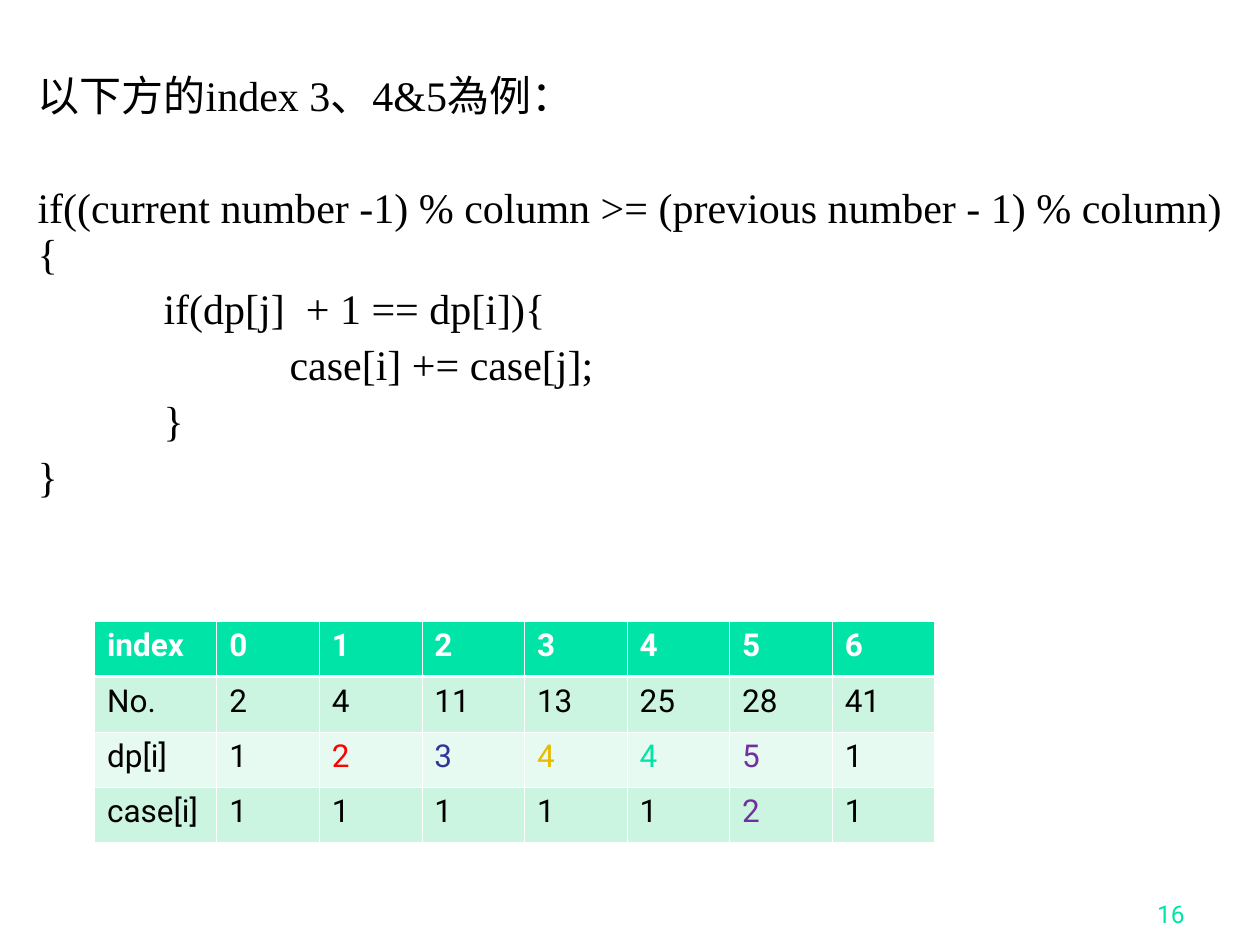
from dataclasses import dataclass

import lxml.etree
import pptx
import pptx.dml.color
import pptx.enum.text
import pptx.oxml.ns
import pptx.util

RGBColor = pptx.dml.color.RGBColor
BLACK = RGBColor(0x00, 0x00, 0x00)
WHITE = RGBColor(0xFF, 0xFF, 0xFF)
GREEN = RGBColor(0x00, 0xE4, 0xA8)
MINT = RGBColor(0xCB, 0xF5, 0xE1)
PALE_MINT = RGBColor(0xE7, 0xFA, 0xF1)
RED = RGBColor(0xFF, 0x00, 0x00)
BLUE = RGBColor(0x33, 0x33, 0x99)
GOLD = RGBColor(0xE7, 0xBB, 0x01)
PURPLE = RGBColor(0x70, 0x30, 0xA0)

CELL = pptx.util.Inches(0.1)  # the slide is a grid of 100 columns by 75 rows
COLUMNS, ROWS = 100, 75
THIN, THICK = 0.45, 1.47  # table rule widths in points

INTRO = "以下方的index 3、4&5為例："
CODE = (
    "if((current number -1) % column >= (previous number - 1) % column){",
    "\tif(dp[j]  + 1 == dp[i]){",
    "\t\tcase[i] += case[j];",
    "\t}",
    "}",
)


@dataclass(frozen=True)
class Box:
    col: float
    row: float
    cols: float
    rows: float

    def emu(self) -> tuple[int, ...]:
        return tuple(grid(n) for n in (self.col, self.row, self.cols, self.rows))


@dataclass(frozen=True)
class TableRow:
    label: str
    values: tuple[int, ...]
    fill: RGBColor
    colors: tuple[RGBColor, ...] = (BLACK,) * 7
    header: bool = False


TABLE_ROWS = (
    TableRow("index", tuple(range(7)), GREEN, (WHITE,) * 7, header=True),
    TableRow("No.", (2, 4, 11, 13, 25, 28, 41), MINT),
    TableRow("dp[i]", (1, 2, 3, 4, 4, 5, 1), PALE_MINT,
             (BLACK, RED, BLUE, GOLD, GREEN, PURPLE, BLACK)),
    TableRow("case[i]", (1, 1, 1, 1, 1, 2, 1), MINT,
             (BLACK,) * 5 + (PURPLE, BLACK)),
)


def grid(n: float) -> int:
    return int(n * CELL)


def style(p, name: str, size: float, color: RGBColor, bold: bool = False) -> None:
    for r in p.runs:
        r.font.name = name
        r.font.size = pptx.util.Pt(size)
        r.font.bold = bold
        r.font.color.rgb = color


def add_tab_stops(p, count: int) -> None:
    """Set left tab stops one inch apart."""
    ns = pptx.oxml.ns.qn
    stops = lxml.etree.SubElement(p._p.get_or_add_pPr(), ns("a:tabLst"))
    for i in range(1, count + 1):
        lxml.etree.SubElement(stops, ns("a:tab"),
                              pos=str(pptx.util.Inches(i)), algn="l")


def add_text_frame(s, box: Box):
    tf = s.shapes.add_textbox(*box.emu()).text_frame
    tf.word_wrap = True
    return tf


def add_code(s, box: Box) -> None:
    tf = add_text_frame(s, box)
    tf.text = "\n".join((INTRO, *CODE))
    for i, p in enumerate(tf.paragraphs):
        p.line_spacing = 0.9
        if i:
            p.space_before = pptx.util.Pt(38 if i == 1 else 6)
            add_tab_stops(p, 2)
        style(p, "Times New Roman", 24, BLACK)


def add_page_number(s, box: Box, number: int) -> None:
    tf = add_text_frame(s, box)
    tf.vertical_anchor = pptx.enum.text.MSO_ANCHOR.BOTTOM
    tf.text = str(number)
    p = tf.paragraphs[0]
    p.alignment = pptx.enum.text.PP_ALIGN.RIGHT
    style(p, "Roboto", 14, GREEN)


def set_borders(cell, top: float, bottom: float) -> None:
    """Draw white rules on all four sides, ahead of the fill in the XML."""
    ns = pptx.oxml.ns.qn
    tc_pr = cell._tc.get_or_add_tcPr()
    sides = (("L", THIN), ("R", THIN), ("T", top), ("B", bottom))
    for i, (side, width) in enumerate(sides):
        ln = lxml.etree.Element(ns(f"a:ln{side}"), w=str(pptx.util.Pt(width)))
        fill = lxml.etree.SubElement(ln, ns("a:solidFill"))
        lxml.etree.SubElement(fill, ns("a:srgbClr"), val=str(WHITE))
        tc_pr.insert(i, ln)


def add_index_table(s, box: Box, label_cols: float) -> None:
    n_values = len(TABLE_ROWS[0].values)
    table = s.shapes.add_table(len(TABLE_ROWS), n_values + 1, *box.emu()).table
    value_cols = (box.cols - label_cols) / n_values
    for i, column in enumerate(table.columns):
        column.width = grid(value_cols if i else label_cols)
    for i, row in enumerate(TABLE_ROWS):
        table.rows[i].height = grid(box.rows / len(TABLE_ROWS))
        label_color = WHITE if row.header else BLACK
        texts = (row.label, *row.values)
        for j, (text, color) in enumerate(zip(texts, (label_color, *row.colors))):
            cell = table.cell(i, j)
            cell.text_frame.text = str(text)
            style(cell.text_frame.paragraphs[0], "Roboto", 18, color, row.header)
            cell.fill.solid()
            cell.fill.fore_color.rgb = row.fill
            set_borders(cell, top=THICK if i == 1 else THIN,
                        bottom=THICK if row.header else THIN)


def main() -> None:
    prs = pptx.Presentation()
    prs.slide_width, prs.slide_height = grid(COLUMNS), grid(ROWS)
    s = prs.slides.add_slide(prs.slide_layouts[6])
    add_code(s, Box(2, 5.5, 96.1, 39.1))
    add_page_number(s, Box(74.2, 69.2, 20.8, 5), 16)
    add_index_table(s, Box(7.5, 49.3, 66.7, 17.6), label_cols=9.7)
    prs.save("out.pptx")


if __name__ == "__main__":
    main()
